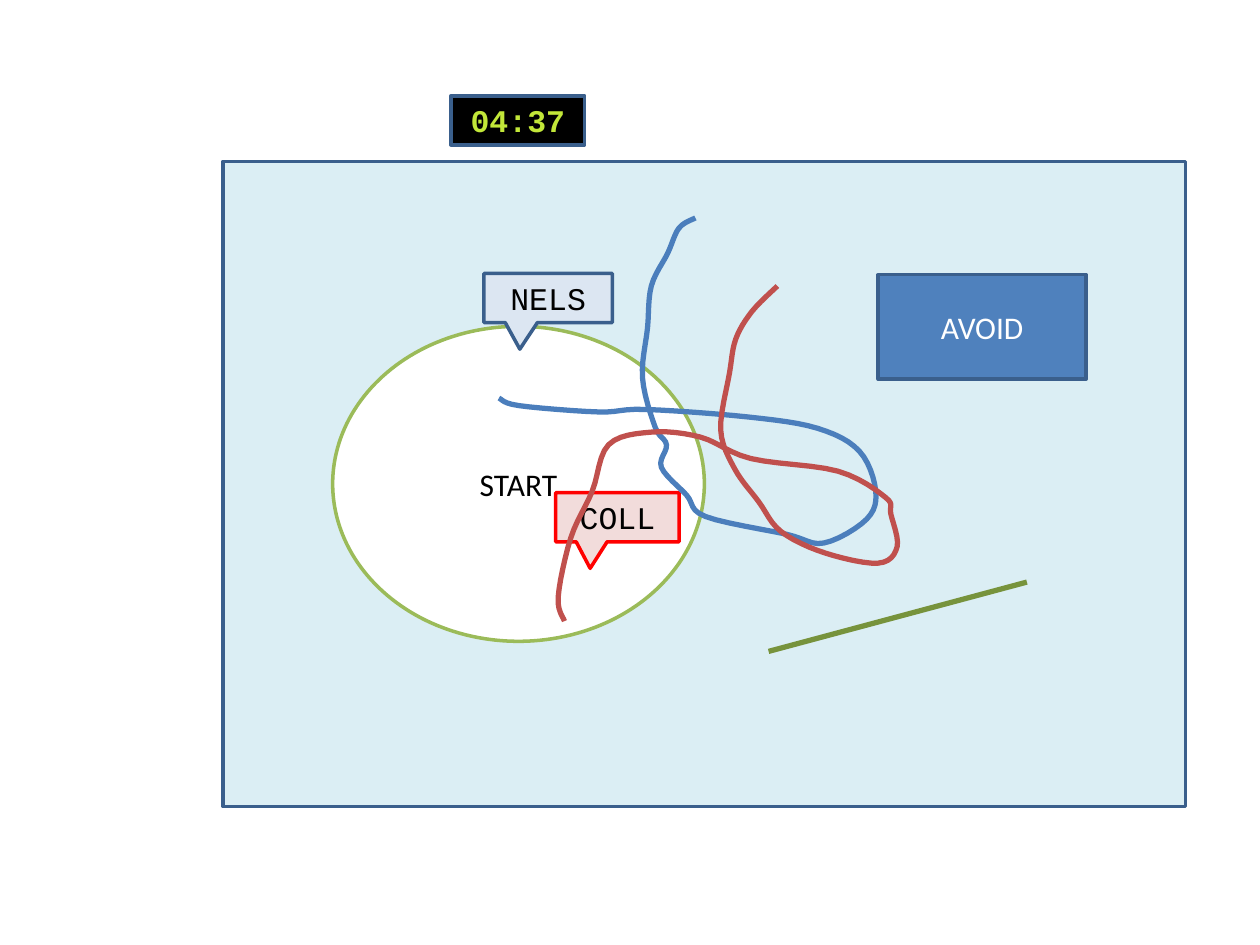
from lxml import etree
from pptx import Presentation
from pptx.dml.color import RGBColor
from pptx.enum.shapes import MSO_CONNECTOR, MSO_SHAPE
from pptx.enum.text import MSO_ANCHOR, PP_ALIGN
from pptx.oxml.ns import qn
from pptx.util import Pt

PX = 9144  # EMU per px, 100 px to the inch
RECT = MSO_SHAPE.RECTANGLE
OVAL = MSO_SHAPE.OVAL
CALLOUT = MSO_SHAPE.RECTANGULAR_CALLOUT

COLORS = {
    "water": "DBEEF4", "navy": "3A5F8C", "white": "FFFFFF", "black": "000000",
    "green": "9BBB59", "olive": "77933C", "pale blue": "DCE6F2",
    "pale red": "F2DCDB", "alert": "FF0000", "blue": "4F81BD",
    "lime": "C2E739", "blue track": "4B7EBC", "red track": "C0504D",
}
SANS, MONO = "Calibri", "Courier New"

# shape, (left, top, width, height), fill, outline, label, font, text colour
FIELD = (RECT, (177, 128, 764, 512), "water", "navy", "", SANS, "black")
START = (OVAL, (264, 259, 295, 250), "white", "green", "START", SANS, "black")
NELS = (CALLOUT, (384, 217, 102, 39), "pale blue", "navy", "NELS", MONO, "black")
COLL = (CALLOUT, (441, 391, 98, 39), "pale red", "alert", "COLL", MONO, "black")
AVOID = (RECT, (697, 218, 165, 83), "blue", "navy", "AVOID", SANS, "white")
CLOCK = (RECT, (358, 76, 106, 39), "black", "navy", "04:37", MONO, "lime")
CALLOUT_TIP = (-0.22, 1.04)
BARRIER = (610, 517, 815, 462)

# way points, joined by smooth curves
TRACKS = {
    "blue track": [
        (396, 316), (412, 322), (475, 327), (512, 325), (594, 331), (649, 340),
        (682, 358), (695, 389), (688, 412), (654, 431), (624, 424), (560, 410),
        (545, 393), (525, 371), (529, 353), (520, 339), (510, 300), (514, 260),
        (517, 227), (530, 201), (539, 181), (552, 173),
    ],
    "red track": [
        (448, 493), (443, 474), (453, 427), (470, 390), (483, 353), (517, 343),
        (556, 347), (596, 364), (665, 374), (703, 395), (707, 408), (712, 434),
        (697, 447), (655, 439), (620, 422), (602, 398), (583, 372), (572, 341),
        (579, 296), (584, 269), (597, 247), (617, 227),
    ],
}
STEPS = 6


def rgb(name):
    return RGBColor.from_string(COLORS[name])


def set_line(shape, color, width):
    shape.line.color.rgb = rgb(color)
    shape.line.width = Pt(width)


def add_area(kind, box, fill, outline, label, font_name, text_color):
    area = slide.shapes.add_shape(kind, *(n * PX for n in box))
    area.shadow.inherit = False
    area.fill.solid()
    area.fill.fore_color.rgb = rgb(fill)
    set_line(area, outline, 2)
    if kind == CALLOUT:
        area.adjustments[0], area.adjustments[1] = CALLOUT_TIP
    if label:
        area.text_frame.vertical_anchor = MSO_ANCHOR.MIDDLE
        paragraph = area.text_frame.paragraphs[0]
        paragraph.text = label
        paragraph.alignment = PP_ALIGN.CENTER
        font = paragraph.font
        font.name, font.size = font_name, Pt(18)
        font.bold = label == "04:37"
        font.color.rgb = rgb(text_color)


def blend(a, b, c, d, t):
    """Catmull-Rom value between b and c at t from 0 to 1."""
    return b + t / 2 * (c - a + t * (2 * a - 5 * b + 4 * c - d + t * (3 * (b - c) + d - a)))


def smooth(points):
    """Points in EMU along a curve through all way points."""
    ends = [points[0], *points, points[-1]]
    curve = [
        tuple(round(blend(*axis, step / STEPS) * PX) for axis in zip(*four))
        for four in zip(ends, ends[1:], ends[2:], ends[3:])
        for step in range(STEPS)
    ]
    return [*curve, tuple(n * PX for n in points[-1])]


def add_track(color, points):
    curve = smooth(points)
    builder = slide.shapes.build_freeform(*curve[0])
    builder.add_line_segments(curve[1:], close=False)
    track = builder.convert_to_shape()
    track.shadow.inherit = False
    track.fill.background()
    set_line(track, color, 3)


prs = Presentation()
prs.slide_width, prs.slide_height = 1000 * PX, 750 * PX
slide = prs.slides.add_slide(prs.slide_layouts[6])

for area_row in (FIELD, START, NELS, COLL, AVOID):
    add_area(*area_row)

barrier = slide.shapes.add_connector(MSO_CONNECTOR.STRAIGHT, *(n * PX for n in BARRIER))
set_line(barrier, "olive", 3)
etree.SubElement(barrier._element.spPr, qn("a:effectLst"))

add_area(*CLOCK)
for track_color, track_points in TRACKS.items():
    add_track(track_color, track_points)

prs.save("out.pptx")
